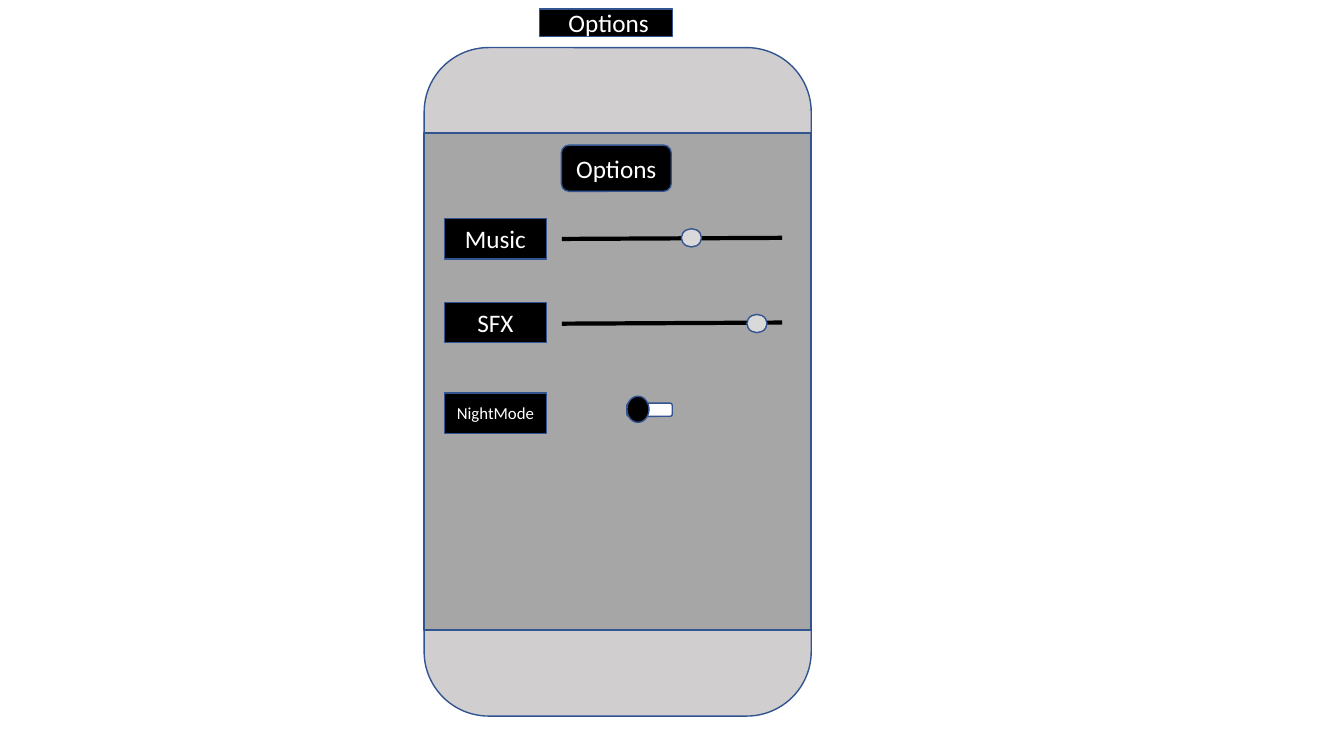
import pptx
import pptx.util
import pptx.dml.color
import pptx.enum.shapes
import pptx.enum.text
import pptx.oxml.ns
import lxml.etree

Pt = pptx.util.Pt
RGBColor = pptx.dml.color.RGBColor
MSO_SHAPE = pptx.enum.shapes.MSO_SHAPE

BLACK = RGBColor(0x00, 0x00, 0x00)
WHITE = RGBColor(0xFF, 0xFF, 0xFF)
OUTLINE = RGBColor(0x32, 0x54, 0x91)
BODY = RGBColor(0xD0, 0xCE, 0xCE)
SCREEN = RGBColor(0xA6, 0xA6, 0xA6)
KNOB = RGBColor(0xD9, 0xD9, 0xD9)

prs = pptx.Presentation()
prs.slide_width, prs.slide_height = Pt(960), Pt(540)
s = prs.slides.add_slide(prs.slide_layouts[5])


def style(sp, fill, text="", size=18):
    """Give a shape its fill, outline and centred white text."""
    sp.fill.solid()
    sp.fill.fore_color.rgb = fill
    sp.line.color.rgb = OUTLINE
    sp.line.width = Pt(1)
    if text:
        tf = sp.text_frame
        tf.text = text
        tf.word_wrap = True
        tf.auto_size = pptx.enum.text.MSO_AUTO_SIZE.NONE
        tf.vertical_anchor = pptx.enum.text.MSO_ANCHOR.MIDDLE
        p = tf.paragraphs[0]
        p.alignment = pptx.enum.text.PP_ALIGN.CENTER
        font = p.runs[0].font
        font.name, font.size, font.color.rgb = "Calibri", Pt(size), WHITE


def add_box(kind, x, y, w, h, fill, text="", size=18):
    """Add a styled preset shape without a shadow."""
    sp = s.shapes.add_shape(kind, Pt(x), Pt(y), Pt(w), Pt(h))
    sp.shadow.inherit = False
    style(sp, fill, text, size)


# Slide title above the phone
title = s.shapes.title
title.left, title.top, title.width, title.height = Pt(385.2), Pt(6.5), Pt(95), Pt(19.5)
style(title, BLACK, " Options")

# Phone and screen heading
add_box(MSO_SHAPE.ROUNDED_RECTANGLE, 303, 34, 276.5, 477.5, BODY)
add_box(MSO_SHAPE.RECTANGLE, 303, 95, 276.5, 355, SCREEN)
add_box(MSO_SHAPE.ROUNDED_RECTANGLE, 401, 103.7, 78.5, 33, BLACK, "Options")

# Setting labels
for text, y, size in [("Music", 156.2, 18), ("SFX", 216, 18), ("NightMode", 280.8, 12)]:
    add_box(MSO_SHAPE.RECTANGLE, 317.5, y, 72.7, 28.8, BLACK, text, size)

# Volume sliders: track height and knob position
for y, knob_x, knob_y in [(170.3, 486.7, 163.4), (230.8, 533.5, 224.6)]:
    track = s.shapes.add_connector(
        pptx.enum.shapes.MSO_CONNECTOR.STRAIGHT, Pt(401.3), Pt(y + 0.4), Pt(558.7), Pt(y - 0.4))
    track.line.color.rgb = BLACK
    track.line.width = Pt(3)
    lxml.etree.SubElement(track._element.spPr, pptx.oxml.ns.qn("a:effectLst"))
    add_box(MSO_SHAPE.OVAL, knob_x, knob_y, 14.4, 13, KNOB)

# Night mode switch
add_box(MSO_SHAPE.ROUNDED_RECTANGLE, 447.8, 288, 32.4, 9.4, WHITE)
add_box(MSO_SHAPE.OVAL, 447.8, 283, 15.8, 18.7, BLACK)

prs.save("out.pptx")
